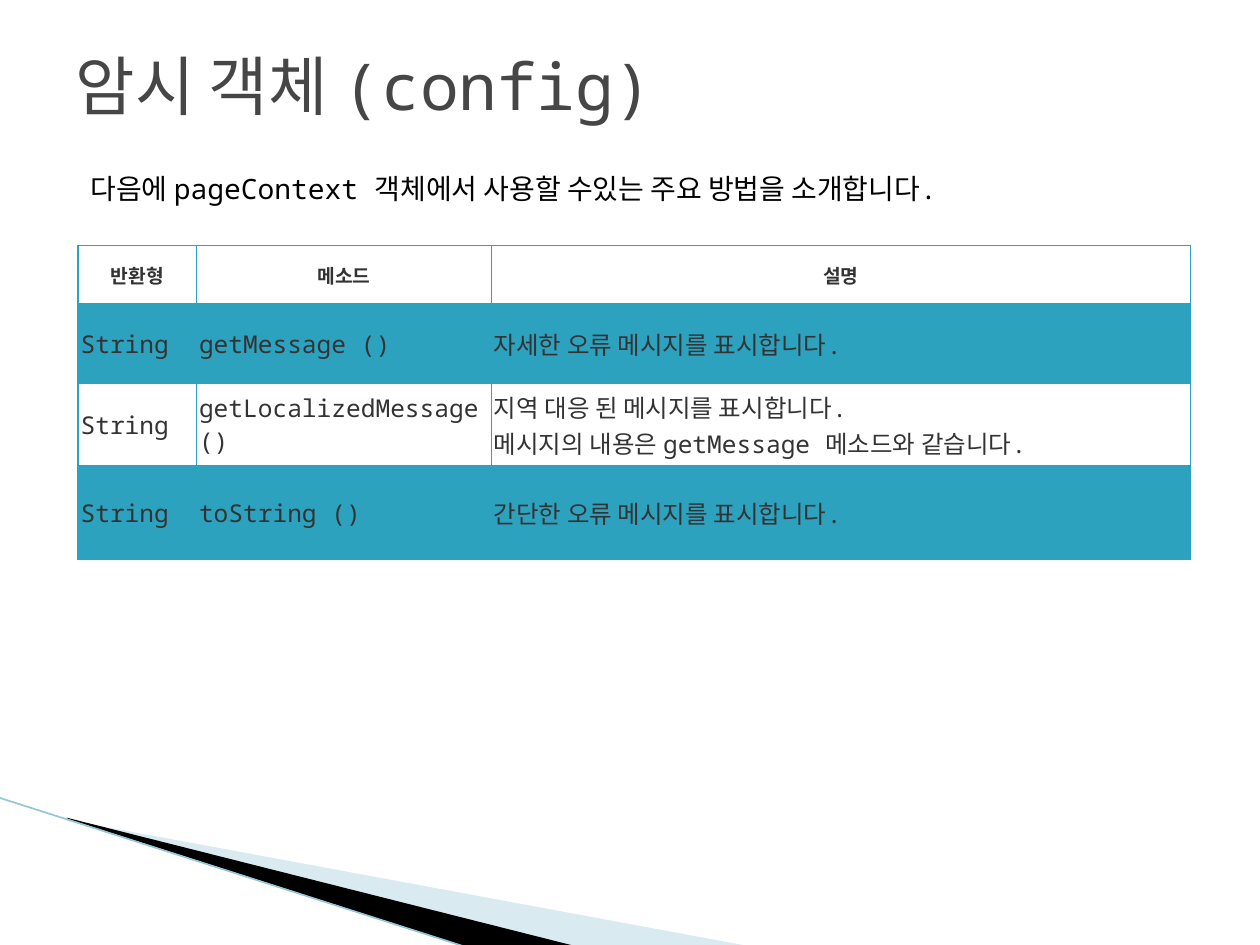
from dataclasses import dataclass
from lxml.etree import SubElement
from pptx import Presentation
from pptx.dml.color import RGBColor as Rgb
from pptx.enum.shapes import MSO_CONNECTOR as Link
from pptx.enum.text import MSO_ANCHOR as Anchor, MSO_AUTO_SIZE as Auto, PP_ALIGN as Align
from pptx.oxml import parse_xml
from pptx.oxml.ns import nsdecls, qn
from pptx.util import Inches, Pt

WIDE, HIGH = 10, 7.5
FACE = "Noto Sans Mono"
BLACK = Rgb(0, 0, 0)
SLATE = Rgb(0x46, 0x46, 0x46)
DARK = Rgb(0x33, 0x33, 0x33)
TEAL = Rgb(0x2D, 0xA2, 0xBF)
MIST = Rgb(0xA0, 0xCB, 0xDC)
SKY = Rgb(0x97, 0xC5, 0xD8)


@dataclass
class Style:
    size: float
    color: Rgb
    bold: bool = False
    align: Align = Align.LEFT


@dataclass
class Wedge:
    points: list[tuple[float, float]]
    color: Rgb
    alpha: int = 100


@dataclass
class Row:
    high: float
    texts: list[str]
    shade: bool = False


TITLE = Style(36.9, SLATE)
LEAD = Style(16, BLACK)
HEAD = Style(11, DARK, True, Align.CENTER)
BODY = Style(14, DARK)

WEDGES = [
    Wedge([(0.55, 6.51), (5.95, 7.51), (4.56, 7.51), (0.55, 6.5)], MIST, 40),
    Wedge([(0.53, 6.49), (4.57, 7.51), (3.72, 7.52), (0.54, 6.5)], BLACK),
]
COLS = [0.94, 2.34, 5.55]
ROWS = [
    Row(0.47, ["반환형", "메소드", "설명"]),
    Row(0.62, ["String", "getMessage ()", "자세한 오류 메시지를 표시합니다."], True),
    Row(0.66, ["String", "getLocalizedMessage ()",
               "지역 대응 된 메시지를 표시합니다.\n메시지의 내용은 getMessage 메소드와 같습니다."]),
    Row(0.74, ["String", "toString ()", "간단한 오류 메시지를 표시합니다."], True),
]


def write(frame, text: str, style: Style) -> None:
    frame.text = text
    frame.word_wrap = True
    for para in frame.paragraphs:
        para.alignment = style.align
        for font in (para.font, *(run.font for run in para.runs)):
            font.name = FACE
            font.size = Pt(style.size)
            font.bold = style.bold
            font.color.rgb = style.color


def paint(fill, node, color: Rgb, alpha: int) -> None:
    fill.solid()
    fill.fore_color.rgb = color
    if alpha < 100:
        tint = next(node.iter(qn("a:srgbClr")))
        SubElement(tint, qn("a:alpha"), val=str(alpha * 1000))


def draw_wedge(slide, wedge: Wedge) -> None:
    first, *rest = [(Inches(x), Inches(y)) for x, y in wedge.points]
    pen = slide.shapes.build_freeform(*first)
    pen.add_line_segments(rest)
    shape = pen.convert_to_shape()
    shape.shadow.inherit = False
    shape.line.fill.background()
    paint(shape.fill, shape._element.spPr, wedge.color, wedge.alpha)


def draw_edge(slide) -> None:
    ends = [Inches(n) for n in (-0.01, 6.33, 3.71, 7.52)]
    edge = slide.shapes.add_connector(Link.STRAIGHT, *ends)
    edge.line.color.rgb = SKY
    edge.line.width = Pt(0.95)
    SubElement(edge._element.spPr, qn("a:effectLst"))


def frame_cell(cell, top: int, foot: int) -> None:
    props = cell._tc.get_or_add_tcPr()
    for spot, (side, wide) in enumerate(zip("LRTB", (1, 1, top, foot))):
        props.insert(spot, parse_xml(
            f'<a:ln{side} {nsdecls("a")} w="{Pt(wide)}"><a:solidFill>'
            f'<a:srgbClr val="{TEAL}"/></a:solidFill></a:ln{side}>'))


def draw_table(slide) -> None:
    box = [Inches(n) for n in (0.62, 1.95, sum(COLS), sum(r.high for r in ROWS))]
    table = slide.shapes.add_table(len(ROWS), len(COLS), *box).table
    table.first_row = table.horz_banding = False
    for col, wide in zip(table.columns, COLS):
        col.width = Inches(wide)
    for i, row in enumerate(ROWS):
        table.rows[i].height = Inches(row.high)
        for cell, text in zip(table.rows[i].cells, row.texts):
            write(cell.text_frame, text, BODY if i else HEAD)
            cell.vertical_anchor = Anchor.MIDDLE
            cell.margin_left = cell.margin_right = Inches(0.02)
            cell.margin_top = cell.margin_bottom = Inches(0.02)
            if row.shade:
                paint(cell.fill, cell._tc, TEAL, 20)
            else:
                cell.fill.background()
            frame_cell(cell, 2 if i == 1 else 1, 1 if i else 2)


def place(shape, left: float, top: float, wide: float, high: float) -> None:
    shape.left, shape.top = Inches(left * WIDE), Inches(top * HIGH)
    shape.width, shape.height = Inches(wide * WIDE), Inches(high * HIGH)


def main() -> None:
    deck = Presentation()
    deck.slide_width, deck.slide_height = Inches(WIDE), Inches(HIGH)
    slide = deck.slides.add_slide(deck.slide_layouts[5])
    for wedge in WEDGES:
        draw_wedge(slide, wedge)
    draw_edge(slide)

    title = slide.shapes.title
    place(title, 0.05, 0.04, 0.9, 0.1)
    write(title.text_frame, "암시 객체 (config)", TITLE)
    title.text_frame.vertical_anchor = Anchor.MIDDLE
    title.text_frame.auto_size = Auto.NONE

    lead = slide.shapes.add_textbox(0, 0, 0, 0)
    place(lead, 0.05, 0.175, 0.9, 0.07)
    write(lead.text_frame, "다음에 pageContext 객체에서 사용할 수있는 주요 방법을 소개합니다.", LEAD)
    para = lead.text_frame.paragraphs[0]
    para.space_before = Pt(4)
    props = para._p.get_or_add_pPr()
    props.set("marL", str(Inches(0.4)))
    props.set("indent", str(Inches(-0.28)))

    draw_table(slide)
    deck.save("out.pptx")


if __name__ == "__main__":
    main()
